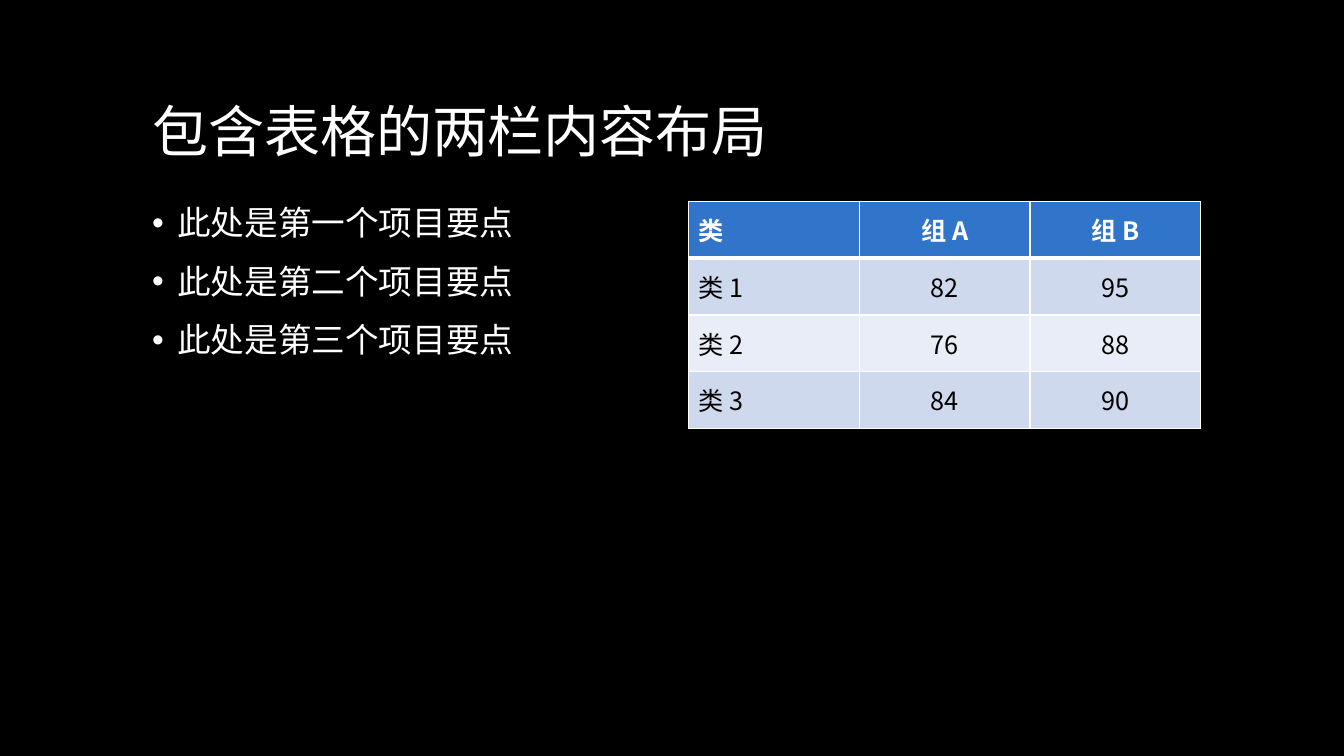
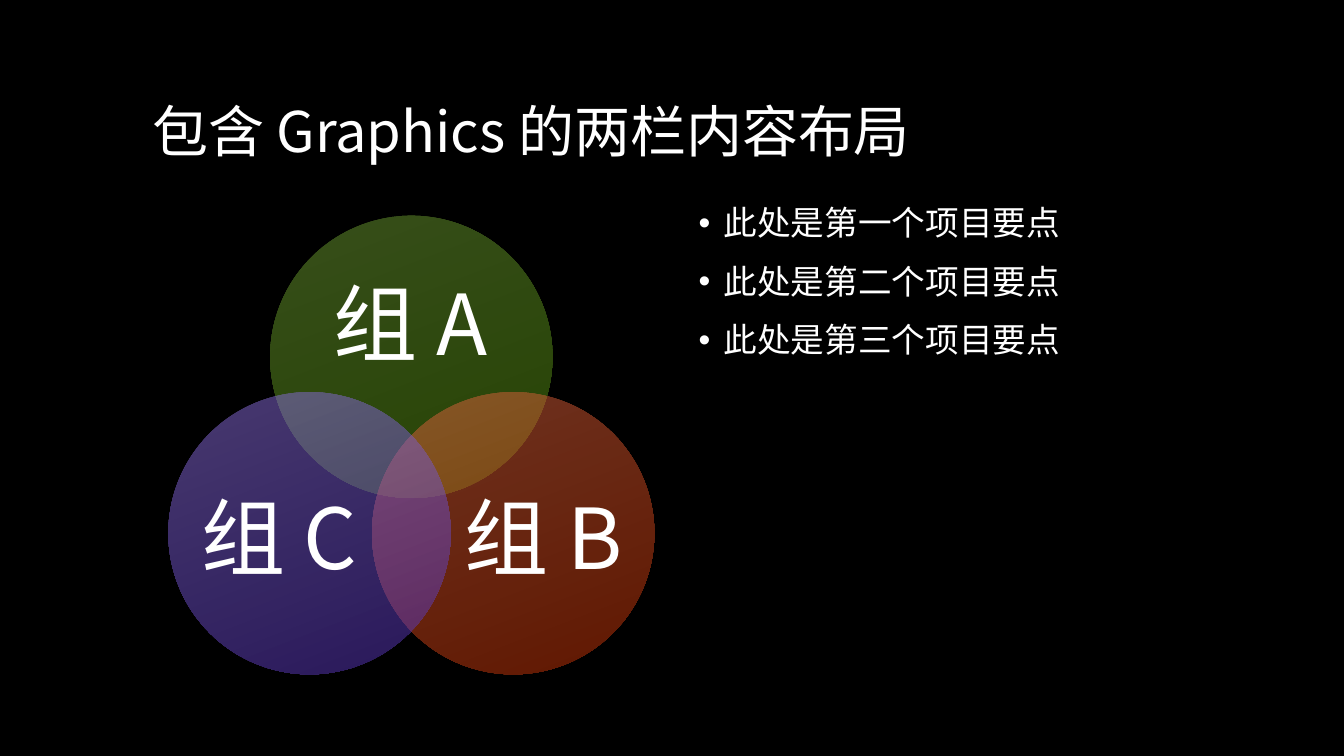
from lxml.etree import SubElement
from pptx import Presentation
from pptx.dml.color import RGBColor
from pptx.enum.shapes import MSO_SHAPE as Shape
from pptx.enum.text import MSO_ANCHOR as Anchor, MSO_AUTO_SIZE as AutoSize, PP_ALIGN as Align
from pptx.oxml.ns import qn
from pptx.util import Emu, Pt

EMU_PER_PX = 9144
BLACK = RGBColor(0x00, 0x00, 0x00)
WHITE = RGBColor(0xFF, 0xFF, 0xFF)
HEADER_BLUE = RGBColor(0x30, 0x75, 0xC9)
BAND_DARK = RGBColor(0xCF, 0xD9, 0xEE)
BAND_LIGHT = RGBColor(0xE9, 0xED, 0xF7)
GREENS = RGBColor(0x6E, 0x9D, 0x35), RGBColor(0x4E, 0x88, 0x08)
ORANGES = RGBColor(0xDE, 0x67, 0x42), RGBColor(0xC2, 0x30, 0x02)
PURPLES = RGBColor(0x8F, 0x73, 0xDF), RGBColor(0x53, 0x31, 0xB6)

KARLA = "Karla"
NOTO = "Noto Sans CJK SC"

TITLE_AREA = 141, 42, 1050, 125
LEFT_COLUMN = 141, 200, 508, 475
RIGHT_COLUMN = 683, 200, 508, 475
TABLE_AREA = 683, 200, 508, 225
CIRCLE_SIZE = 280
BULLETS = ["此处是第一个项目要点", "此处是第二个项目要点", "此处是第三个项目要点"]
TABLE_ROWS = [
    ["类", "组 A", "组 B"],
    ["类 1", "82", "95"],
    ["类 2", "76", "88"],
    ["类 3", "84", "90"],
]
VENN_SETS = [
    ("组 A", GREENS, (268, 214), (305, 263, 205, 126)),
    ("组 B", ORANGES, (369, 389), (455, 461, 168, 154)),
    ("组 C", PURPLES, (167, 389), (193, 461, 168, 154)),
]


def px(length):
    return Emu(round(length * EMU_PER_PX))


def place(area):
    return [px(length) for length in area]


def write(para, text, size, font=NOTO, color=WHITE, bold=False,
          align=Align.LEFT, line_spacing=None, space_before=None):
    para.alignment = align
    para.line_spacing = line_spacing
    para.space_before = space_before
    span = para.add_run()
    span.text = text
    span.font.size = Pt(size)
    span.font.name = font
    span.font.bold = bold
    span.font.color.rgb = color
    properties = span.font._element
    properties.set("lang", "zh-CN")
    SubElement(properties, qn("a:ea"), typeface=NOTO)


def add_page(deck, title, font):
    page = deck.slides.add_slide(deck.slide_layouts[5])
    box = page.shapes.title
    box.left, box.top, box.width, box.height = place(TITLE_AREA)
    frame = box.text_frame
    frame.auto_size = AutoSize.NONE
    frame.vertical_anchor = Anchor.BOTTOM
    write(frame.paragraphs[0], title, 40, font=font, line_spacing=0.8)
    return page


def add_bullets(page, area, font):
    frame = page.shapes.add_textbox(*place(area)).text_frame
    frame.word_wrap = True
    for index, text in enumerate(BULLETS):
        para = frame.add_paragraph() if index else frame.paragraphs[0]
        write(para, text, 24, font=font, line_spacing=0.9, space_before=Pt(16))
        properties = para._p.get_or_add_pPr()
        properties.set("marL", str(px(25)))
        properties.set("indent", str(px(-25)))
        SubElement(properties, qn("a:buFont"), typeface="Arial")
        SubElement(properties, qn("a:buChar"), char="•")


def set_borders(cell, top, bottom):
    properties = cell._tc.get_or_add_tcPr()
    widths = {"lnL": 1, "lnR": 1, "lnT": top, "lnB": bottom}
    for index, (side, width) in enumerate(widths.items()):
        line = SubElement(properties, qn(f"a:{side}"), w=str(Pt(width)))
        fill = SubElement(line, qn("a:solidFill"))
        SubElement(fill, qn("a:srgbClr"), val=str(WHITE))
        properties.insert(index, line)


def add_table(page, rows):
    area = place(TABLE_AREA)
    table = page.shapes.add_table(len(rows), len(rows[0]), *area).table
    for r, values in enumerate(rows):
        header = r == 0
        fill = HEADER_BLUE if header else BAND_DARK if r % 2 else BAND_LIGHT
        for c, text in enumerate(values):
            cell = table.cell(r, c)
            cell.vertical_anchor = Anchor.MIDDLE
            cell.fill.solid()
            cell.fill.fore_color.rgb = fill
            set_borders(cell, top=3 if r == 1 else 1, bottom=3 if header else 1)
            write(cell.text_frame.paragraphs[0], text, 18, bold=header,
                  color=WHITE if header else BLACK,
                  align=Align.CENTER if c else Align.LEFT)


def add_circle(group, corner, colors):
    area = *corner, CIRCLE_SIZE, CIRCLE_SIZE
    circle = group.shapes.add_shape(Shape.OVAL, *place(area))
    circle.shadow.inherit = False
    circle.line.fill.background()
    circle.fill.gradient()
    circle.fill.gradient_angle = 291
    for stop, color, position in zip(circle.fill.gradient_stops, colors, (0, 1)):
        stop.color.rgb = color
        stop.position = position
    for color in circle._element.spPr.iter(qn("a:srgbClr")):
        SubElement(color, qn("a:alpha"), val="50000")


def add_label(group, text, area):
    frame = group.shapes.add_textbox(*place(area)).text_frame
    frame.word_wrap = True
    frame.vertical_anchor = Anchor.MIDDLE
    frame.margin_left = frame.margin_right = 0
    frame.margin_top = frame.margin_bottom = 0
    write(frame.paragraphs[0], text, 60, align=Align.CENTER, line_spacing=0.9)


def add_venn(page):
    group = page.shapes.add_group_shape()
    for text, colors, corner, label_area in VENN_SETS:
        add_circle(group, corner, colors)
        add_label(group, text, label_area)


def main():
    deck = Presentation()
    deck.slide_width, deck.slide_height = place((1333, 750))
    background = deck.slide_master.background.fill
    background.solid()
    background.fore_color.rgb = BLACK

    table_page = add_page(deck, "包含表格的两栏内容布局", KARLA)
    add_bullets(table_page, LEFT_COLUMN, KARLA)
    add_table(table_page, TABLE_ROWS)

    venn_page = add_page(deck, "包含 Graphics 的两栏内容布局", NOTO)
    add_venn(venn_page)
    add_bullets(venn_page, RIGHT_COLUMN, NOTO)

    deck.save("out.pptx")


if __name__ == "__main__":
    main()
